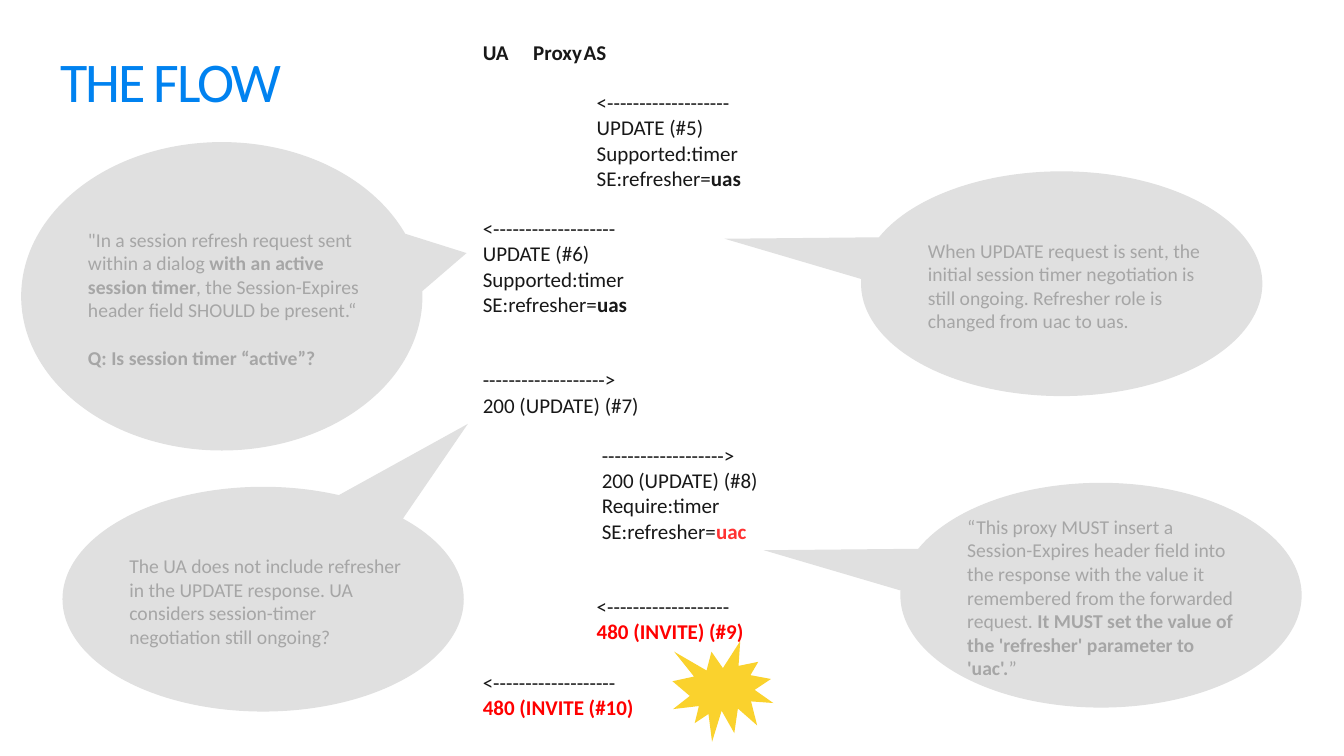
import pptx
import pptx.util
import pptx.dml.color
import pptx.enum.shapes
import pptx.enum.text
import lxml.etree
from pptx.util import Inches, Pt
from pptx.dml.color import RGBColor

BLUE = RGBColor(0x00, 0x82, 0xF0)
INK = RGBColor(0x18, 0x18, 0x18)
CORAL = RGBColor(0xFF, 0x32, 0x32)
RED = RGBColor(0xFF, 0x00, 0x00)
BUBBLE = RGBColor(0xE0, 0xE0, 0xE0)
GREY = RGBColor(0xA6, 0xA6, 0xA6)
YELLOW = RGBColor(0xFA, 0xD2, 0x2D)
LINE_PITCH = 18
LEFT = "<-------------------"
RIGHT = "------------------->"


def write_spans(para, text, size, color, accent):
    """Fill a paragraph; parts between asterisks are bold in the accent colour."""
    para.alignment = pptx.enum.text.PP_ALIGN.LEFT
    for index, part in enumerate(text.split("*")):
        if part:
            span = para.add_run()
            span.text = part
            span.font.name = "Calibri"
            span.font.size = Pt(size)
            span.font.bold = index % 2 == 1
            span.font.color.rgb = accent if span.font.bold else color


def add_plain_shape(kind, place, fill):
    shape = page.shapes.add_shape(kind, *[Inches(length) for length in place])
    shape.shadow.inherit = False
    shape.fill.solid()
    shape.fill.fore_color.rgb = fill
    shape.line.fill.background()
    return shape


deck = pptx.Presentation()
deck.slide_width, deck.slide_height = Inches(13.33), Inches(7.5)
page = deck.slides.add_slide(deck.slide_layouts[6])

# Title
title = page.shapes.add_textbox(Inches(0.52), Inches(0.52), Inches(9.14), Inches(1.18))
frame = title.text_frame
frame.word_wrap = True
frame.margin_left, frame.margin_top = Inches(0.08), Inches(0.04)
frame.margin_right = frame.margin_bottom = 0
para = frame.paragraphs[0]
para.line_spacing = 0.85
para.space_before = Pt(3)
write_spans(para, "THE FLOW", 40, BLUE, BLUE)
para.runs[0].font._element.set("spc", "-160")

# Message flow: indent in inches, blank lines above, lines, accent colour
messages = [
    (0, 0, ["*UA\tProxy\tAS*"], INK),
    (1.13, 1, [LEFT, "UPDATE (#5)", "Supported:timer", "SE:refresher=*uas*"], INK),
    (0, 1, [LEFT, "UPDATE (#6)", "Supported:timer", "SE:refresher=*uas*"], INK),
    (0, 2, [RIGHT, "200 (UPDATE) (#7)"], INK),
    (1.18, 1, [RIGHT, "200 (UPDATE) (#8)", "Require:timer", "SE:refresher=*uac*"], CORAL),
    (1.13, 2, [LEFT, "*480 (INVITE) (#9)*"], RED),
    (0, 1, [LEFT, "*480 (INVITE (#10)*"], RED),
]
flow = page.shapes.add_textbox(Inches(4.69), Inches(0.34), Inches(4.35), Inches(6.92))
frame = flow.text_frame
frame.word_wrap = True
para = frame.paragraphs[0]
for indent, blank_lines, lines, accent in messages:
    for index, line in enumerate(lines):
        if para.runs:
            para = frame.add_paragraph()
        write_spans(para, line, 15, INK, accent)
        para.space_before = Pt(0 if index else blank_lines * LINE_PITCH)
        para._p.get_or_add_pPr().set("marL", str(Inches(indent)))
        para._p.get_or_add_pPr().set("indent", "0")

# Header columns
header = frame.paragraphs[0]._p.get_or_add_pPr()
namespace = "{http://schemas.openxmlformats.org/drawingml/2006/main}"
stops = lxml.etree.SubElement(header, namespace + "tabLst")
for position in (1.01, 2.25):
    lxml.etree.SubElement(stops, namespace + "tab", pos=str(Inches(position)), algn="l")

# Callouts: place, pointer tip, paragraphs
callouts = [
    ((8.54, 1.7, 3.98, 2.23), (-0.84, -0.2),
     ["When UPDATE request is sent, the initial session timer negotiation is still "
      "ongoing. Refresher role is changed from uac to uas."]),
    ((8.93, 4.79, 3.98, 2.23), (-0.84, -0.2),
     ["“This proxy MUST insert a Session-Expires header field into the response with "
      "the value it remembered from the forwarded request. *It MUST set the value of "
      "the 'refresher' parameter to 'uac'.*”"]),
    ((0.21, 1.41, 3.98, 3.06), (0.61, -0.14),
     ["\"In a session refresh request sent within a dialog *with an active session "
      "timer*, the Session-Expires header field SHOULD be present.“",
      "*Q: Is session timer “active”?*"]),
    ((0.62, 4.83, 3.98, 2.23), (0.51, -0.78),
     ["The UA does not include refresher in the UPDATE response. UA considers "
      "session-timer negotiation still ongoing?"]),
]
for place, tip, paragraphs in callouts:
    bubble = add_plain_shape(pptx.enum.shapes.MSO_SHAPE.OVAL_CALLOUT, place, BUBBLE)
    bubble.adjustments[0], bubble.adjustments[1] = tip
    frame = bubble.text_frame
    frame.word_wrap = True
    frame.vertical_anchor = pptx.enum.text.MSO_ANCHOR.MIDDLE
    frame.margin_left, frame.margin_top = Inches(0.08), Inches(0.04)
    frame.margin_right = frame.margin_bottom = 0
    for index, text in enumerate(paragraphs):
        para = frame.add_paragraph() if index else frame.paragraphs[0]
        para.space_before = Pt(17 * index)
        write_spans(para, text, 14, GREY, GREY)

add_plain_shape(pptx.enum.shapes.MSO_SHAPE.EXPLOSION1, (6.67, 6.36, 1, 1), YELLOW)

deck.save("out.pptx")
